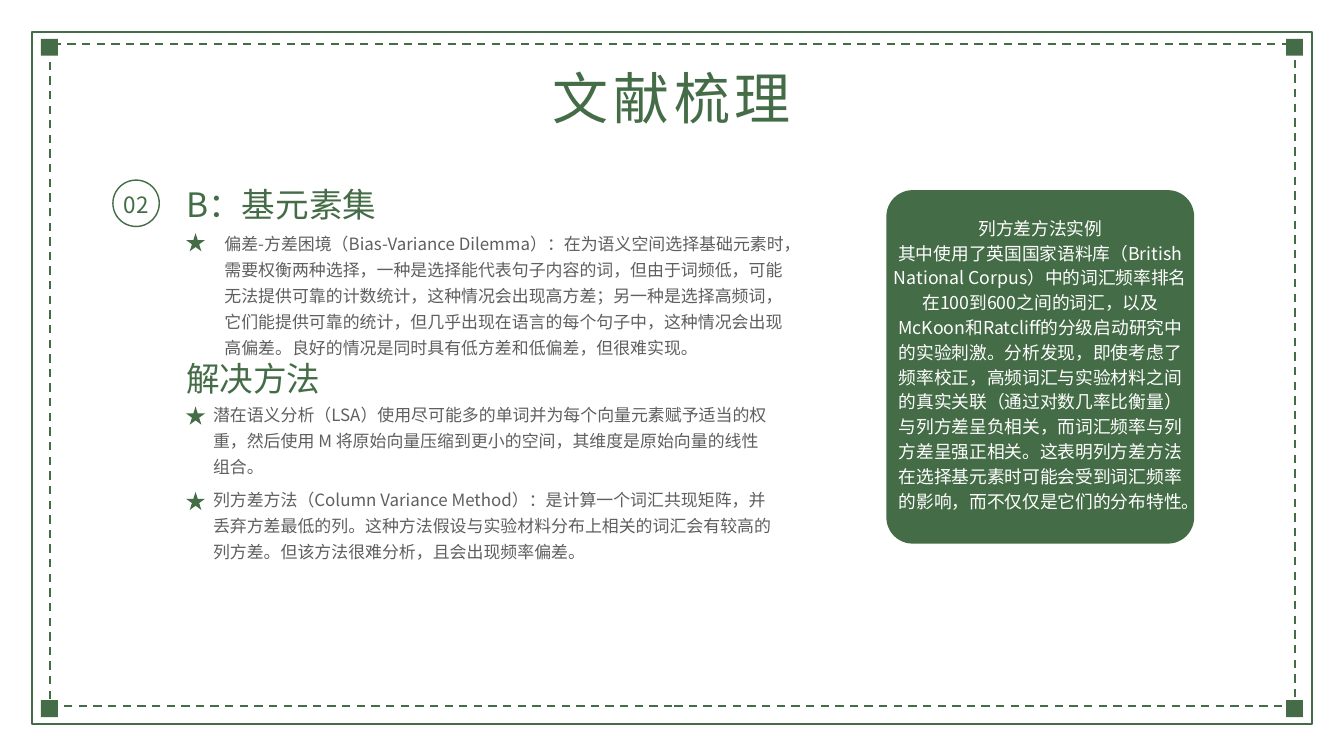
from lxml import etree
from pptx import Presentation
from pptx.dml.color import RGBColor
from pptx.enum import dml, shapes, text
from pptx.oxml import ns
from pptx.util import Inches, Pt

GREEN, GREY, WHITE = "446C47", "605F5F", "FFFFFF"
SC, JP, LATIN = "Noto Sans CJK SC", "Noto Sans CJK JP", "Calibri"
SHAPE = shapes.MSO_SHAPE


def color(value):
    return RGBColor.from_string(value)


def add_shape(s, kind, x, y, w, h, fill=None, line=None, width=2.25, dash=None):
    sp = s.shapes.add_shape(kind, Inches(x), Inches(y), Inches(w), Inches(h))
    sp.shadow.inherit = False
    if fill:
        sp.fill.solid()
        sp.fill.fore_color.rgb = color(fill)
    else:
        sp.fill.background()
    if line:
        sp.line.color.rgb = color(line)
        sp.line.width = Pt(width)
        if dash:
            sp.line.dash_style = dash
    else:
        sp.line.fill.background()
    return sp


def add_text(s, paragraphs, x, y, w, h, size, leading, fill=GREEN, center=False,
             middle=False, inset=0, spacing=None):
    tf = s.shapes.add_textbox(Inches(x), Inches(y), Inches(w), Inches(h)).text_frame
    tf.word_wrap = True
    tf.margin_left = tf.margin_right = Inches(inset)
    tf.margin_top = tf.margin_bottom = Inches(inset)
    tf.vertical_anchor = text.MSO_ANCHOR.MIDDLE if middle else text.MSO_ANCHOR.TOP
    for i, runs in enumerate(paragraphs):
        p = tf.add_paragraph() if i else tf.paragraphs[0]
        p.alignment = text.PP_ALIGN.CENTER if center else text.PP_ALIGN.LEFT
        p.line_spacing = Pt(leading)
        for words, font in runs:
            r = p.add_run()
            r.text = words
            r.font.name = font
            r.font.size = Pt(size)
            r.font.color.rgb = color(fill)
            rPr = r.font._element
            etree.SubElement(rPr, ns.qn("a:ea")).set("typeface", JP if font == JP else SC)
            if spacing:
                rPr.set("spc", str(spacing * 100))


def add_frame(s, x, y, w, h):
    add_shape(s, SHAPE.RECTANGLE, x, y, w, h, WHITE, GREEN)
    add_shape(s, SHAPE.RECTANGLE, x + 0.27, y + 0.18, w - 0.53, h - 0.45,
              WHITE, GREEN, dash=dml.MSO_LINE.DASH)
    side = 0.25
    for top in (y + 0.11, y + h - 0.1 - side):
        for left in (x + 0.14, x + w - 0.14 - side):
            add_shape(s, SHAPE.RECTANGLE, left, top, side, side, GREEN)


def add_title(s, x, y, w, h):
    add_text(s, [[("文献梳理", LATIN)]], x, y, w, h, 60, 84, center=True, spacing=5)


def add_badge(s, x, y, d):
    add_shape(s, SHAPE.OVAL, x, y, d, d, line=GREEN, width=1.5)
    add_text(s, [[("02", JP)]], x + 0.15, y + 0.1, d - 0.3, 0.44, 24, 33.6, center=True)


def add_heading(s, words, font, x, y):
    add_text(s, [[(words, font)]], x, y, 3.79, 0.68, 36, 50.4)


def add_point(s, runs, x, y, h, indent, star_drop):
    add_shape(s, SHAPE.STAR_5_POINT, x, y + star_drop, 0.28, 0.27, GREEN)
    add_text(s, [runs], x + indent, y, 8.34, h, 18.1, 27.9, GREY)


def add_findings(s, x, y):
    add_heading(s, "B：基元素集", JP, x, y)
    add_point(s, [
        ("偏差-方差困境（Bias-Variance Dilemma）", JP),
        ("：在为语义空间选择基础元素时，需要权衡两种选择，一种是选择能代表句子内容的词，"
         "但由于词频低，可能无法提供可靠的计数统计，这种情况会出现高方差；另一种是选择高频词，"
         "它们能提供可靠的统计，但几乎出现在语言的每个句子中，这种情况会出现高偏差。"
         "良好的情况是同时具有低方差和低偏差，但很难实现。", LATIN),
    ], x, y + 0.75, 1.91, 0.57, 0.08)
    add_heading(s, "解决方法", LATIN, x, y + 2.58)
    add_point(s, [
        ("潜在语义分析（LSA）使用尽可能多的单词并为每个向量元素赋予适当的权重，"
         "然后使用 M 将原始向量压缩到更小的空间，其维度是原始向量的线性组合。", JP),
    ], x, y + 3.29, 1.53, 0.4, 0.12)
    add_point(s, [
        ("列方差方法（Column Variance Method）", JP),
        ("：是计算一个词汇共现矩阵，并丢弃方差最低的列。这种方法假设与实验材料分布上相关的词汇"
         "会有较高的列方差。但该方法很难分析，且会出现频率偏差。", LATIN),
    ], x, y + 4.56, 1.14, 0.4, 0.12)


def add_example(s, x, y, w, h):
    card = add_shape(s, SHAPE.ROUNDED_RECTANGLE, x, y, w, h, GREEN)
    card.adjustments[0] = 0.39 / w
    add_text(s, [
        [("列方差方法实例", LATIN)],
        [("其中使用了英国国家语料库（British National Corpus）中的词汇频率排名在100到600之间的词汇，"
          "以及McKoon和Ratcliff的分级启动研究中的实验刺激。分析发现，即使考虑了频率校正，"
          "高频词汇与实验材料之间的真实关联（通过对数几率比衡量）与列方差呈负相关，"
          "而词汇频率与列方差呈强正相关。这表明列方差方法在选择基元素时可能会受到词汇频率的影响，"
          "而不仅仅是它们的分布特性。", SC)],
    ], x, y - 0.12, w, h + 0.12, 19, 26.6, WHITE, center=True, middle=True, inset=0.06)


def main():
    prs = Presentation()
    prs.slide_width, prs.slide_height = Inches(20), Inches(11.25)
    s = prs.slides.add_slide(prs.slide_layouts[6])
    add_frame(s, 0.47, 0.47, 19.06, 10.3)
    add_title(s, 5.27, 0.78, 9.46, 1.14)
    add_badge(s, 1.68, 2.68, 0.69)
    add_findings(s, 2.77, 2.64)
    add_example(s, 13.19, 2.83, 4.58, 5.26)
    prs.save("out.pptx")


if __name__ == "__main__":
    main()
